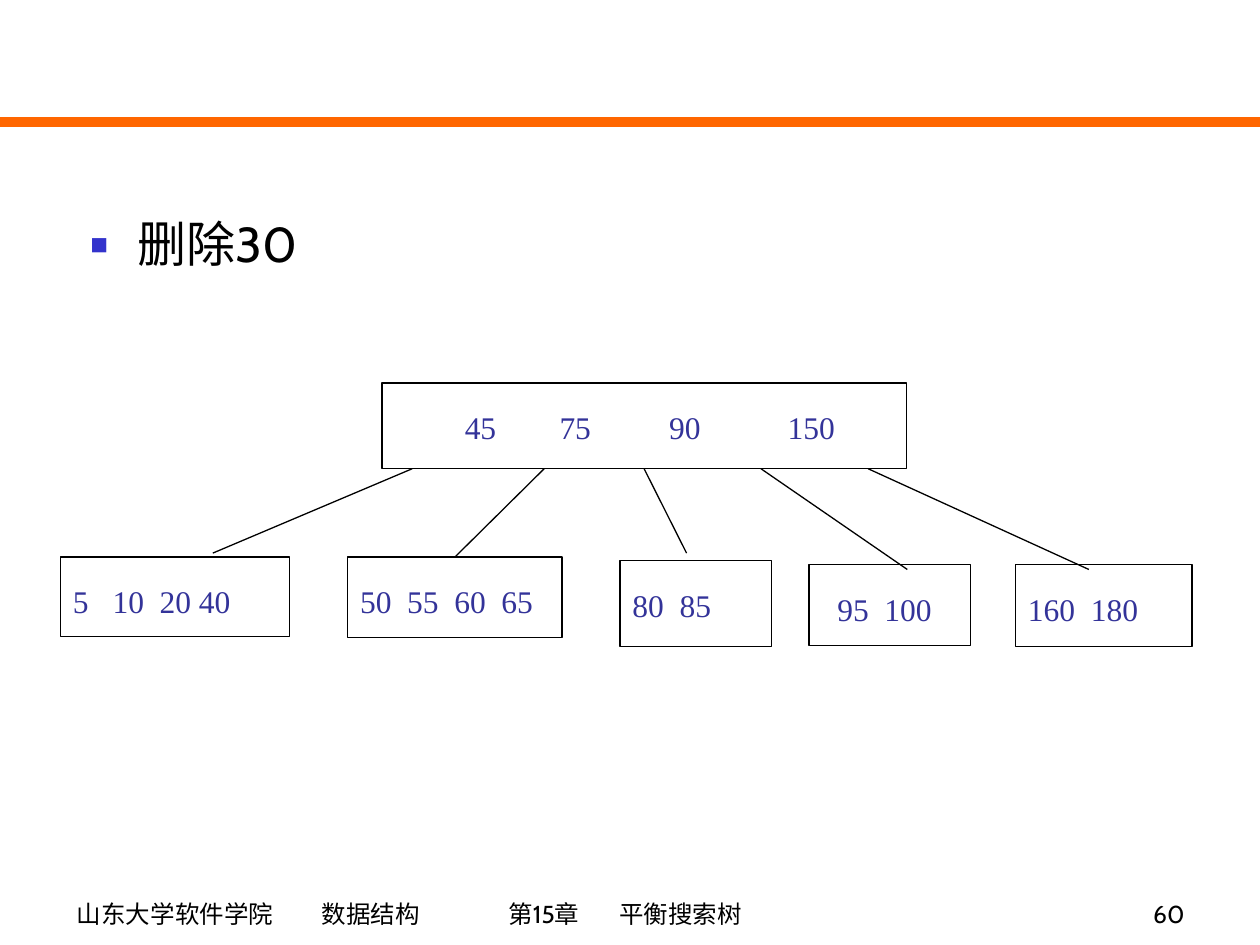
from lxml.etree import SubElement
from pptx import Presentation
from pptx.dml.color import RGBColor
from pptx.enum.shapes import MSO_CONNECTOR as Connector, MSO_SHAPE as Shape
from pptx.enum.text import MSO_ANCHOR as Anchor, MSO_AUTO_SIZE as AutoSize, PP_ALIGN as Align
from pptx.oxml.ns import qn
from pptx.util import Cm, Pt

BLACK = RGBColor(0x00, 0x00, 0x00)
WHITE = RGBColor(0xFF, 0xFF, 0xFF)
ORANGE = RGBColor(0xFF, 0x66, 0x00)
KEY_BLUE = RGBColor(0x33, 0x33, 0x99)
BULLET_BLUE = RGBColor(0x33, 0x33, 0xCC)

ROOT = ("\t45\t75\t90\t150", (7.7, 7.72, 10.57, 1.73), (1.42, 3.33, 5.54, 7.93))
LEAVES = [
    ("5\t10\t20\t40", (1.22, 11.23, 4.62, 1.6), (0.8, 1.75, 2.54)),
    ("50\t55\t60\t65", (7.01, 11.23, 4.32, 1.63), (0.95, 1.9, 2.85)),
    ("80\t85", (12.5, 11.3, 3.05, 1.73), (0.95,)),
    ("\t95\t100", (16.31, 11.38, 3.25, 1.63), (0.32, 1.27)),
    ("160\t180", (20.47, 11.38, 3.56, 1.65), (1.27,)),
]
ROOT_BOTTOM = 9.45
BRANCHES = [
    (8.31, 4.29, 11.15),
    (10.97, 9.12, 11.28),
    (12.93, 13.84, 11.15),
    (15.34, 18.29, 11.48),
    (17.5, 21.95, 11.48),
]


def set_tab_stops(paragraph, stops):
    tab_list = SubElement(paragraph._p.get_or_add_pPr(), qn("a:tabLst"))
    for stop in stops:
        SubElement(tab_list, qn("a:tab"), pos=str(Cm(stop)), algn="l")


def set_font(paragraph, name, size, color):
    paragraph.font.name = name
    paragraph.font.size = Pt(size)
    paragraph.font.color.rgb = color


def add_line(slide, start, end, color, width):
    line = slide.shapes.add_connector(Connector.STRAIGHT, *map(Cm, start + end))
    line.line.color.rgb = color
    line.line.width = Pt(width)
    SubElement(line._element.spPr, qn("a:effectLst"))
    return line


def add_node(slide, keys, box, stops):
    node = slide.shapes.add_shape(Shape.RECTANGLE, *map(Cm, box))
    node.shadow.inherit = False
    node.fill.solid()
    node.fill.fore_color.rgb = WHITE
    node.line.color.rgb = BLACK
    node.line.width = Pt(0.75)
    node.text_frame.vertical_anchor = Anchor.TOP
    paragraph = node.text_frame.paragraphs[0]
    paragraph.text = keys
    paragraph.alignment = Align.LEFT
    paragraph.line_spacing = 1.5
    set_tab_stops(paragraph, stops)
    set_font(paragraph, "Times New Roman", 18, KEY_BLUE)
    return node


def add_footer(slide, text, left, width, alignment, stops=()):
    footer = slide.shapes.add_textbox(Cm(left), Cm(17.58), Cm(width), Cm(1.27))
    footer.text_frame.word_wrap = True
    footer.text_frame.vertical_anchor = Anchor.BOTTOM
    paragraph = footer.text_frame.paragraphs[0]
    paragraph.text = text
    paragraph.alignment = alignment
    set_tab_stops(paragraph, stops)
    set_font(paragraph, "Cabin", 14, BLACK)


def fill_body(body, text):
    body.left, body.top, body.width, body.height = map(Cm, (1.57, 4.32, 23.83, 2.79))
    body.text_frame.auto_size = AutoSize.NONE
    paragraph = body.text_frame.paragraphs[0]
    paragraph.text = text
    paragraph.alignment = Align.JUSTIFY
    paragraph.line_spacing = 0.9
    paragraph.space_before = Pt(7)
    properties = paragraph._p.get_or_add_pPr()
    properties.set("marL", str(Cm(0.95)))
    properties.set("indent", str(-Cm(0.95)))
    bullet_color = SubElement(properties, qn("a:buClr"))
    SubElement(bullet_color, qn("a:srgbClr"), val=str(BULLET_BLUE))
    SubElement(properties, qn("a:buSzPct"), val="60000")
    SubElement(properties, qn("a:buChar"), char="■")
    set_font(paragraph, "Cabin", 28, BLACK)


def add_tree(slide):
    root = add_node(slide, *ROOT)
    leaves = [add_node(slide, *leaf) for leaf in LEAVES]
    branches = [
        add_line(slide, (start, ROOT_BOTTOM), (end, bottom), BLACK, 0.75)
        for start, end, bottom in BRANCHES
    ]
    branches[1].end_connect(leaves[1], 0)
    branches[2].begin_connect(root, 2)


def main():
    presentation = Presentation()
    presentation.slide_width = Cm(25.4)
    presentation.slide_height = Cm(19.05)
    slide = presentation.slides.add_slide(presentation.slide_layouts[1])
    title = slide.shapes.title
    title._element.getparent().remove(title._element)

    add_line(slide, (0, 2.46), (25.4, 2.46), ORANGE, 6)
    add_footer(slide, "山东大学软件学院\t数据结构\t第15章\t平衡搜索树", 1.3, 17.4,
               Align.LEFT, (4.94, 8.7, 10.93))
    add_footer(slide, "60", 18.85, 5.28, Align.RIGHT)
    fill_body(slide.placeholders[1], "删除30")
    add_tree(slide)
    presentation.save("out.pptx")


if __name__ == "__main__":
    main()
